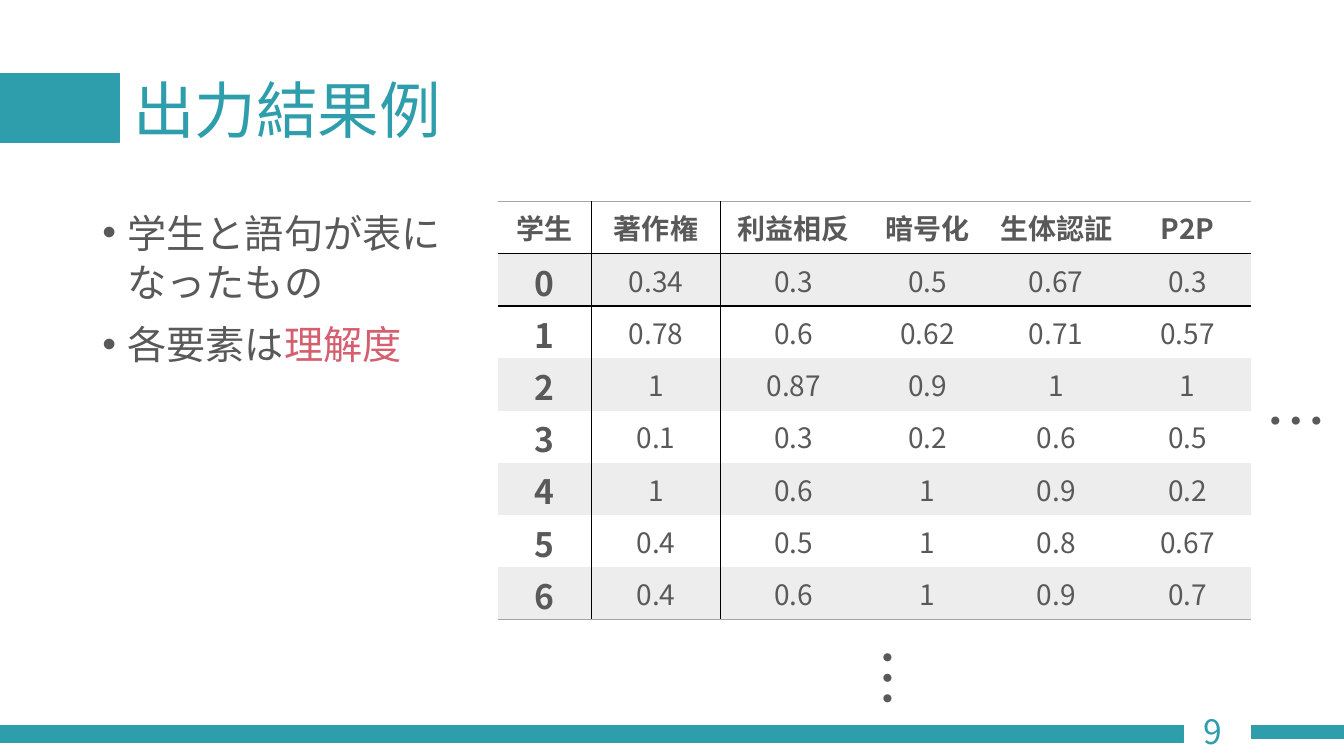
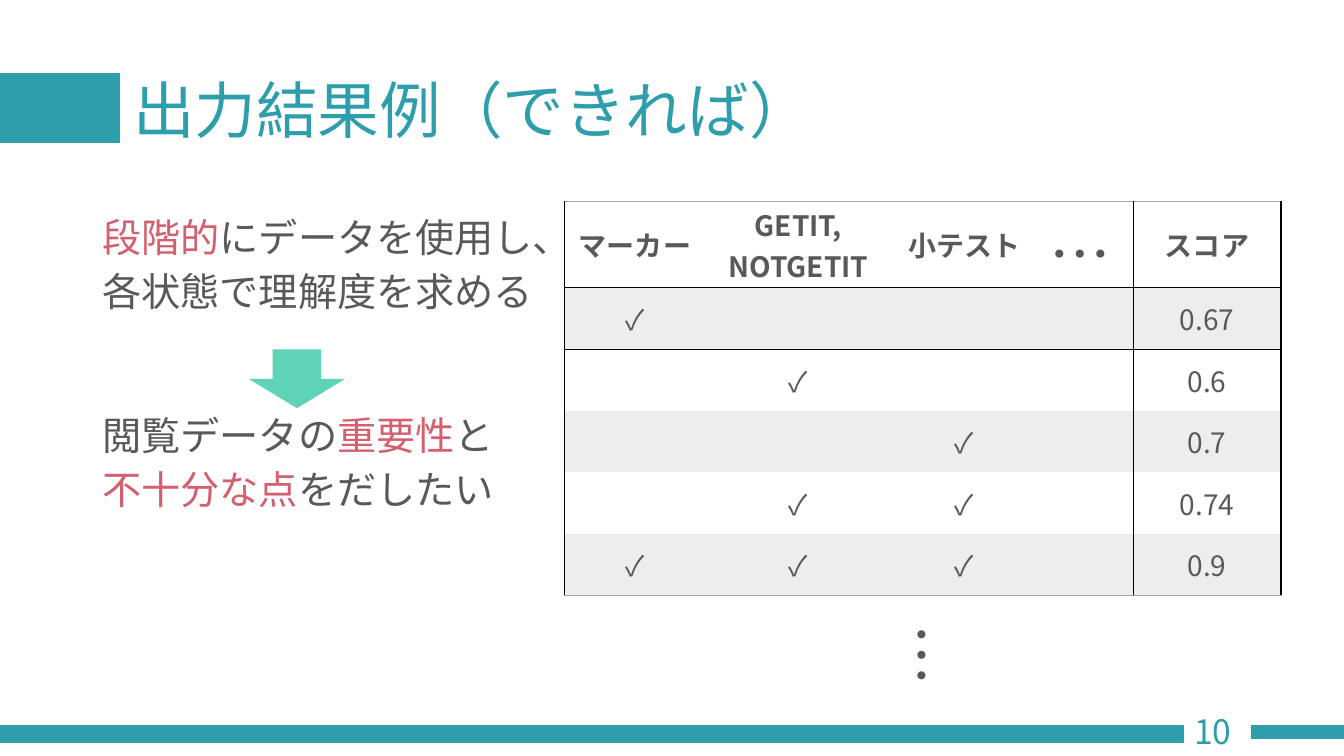
import pptx
import pptx.util
import pptx.dml.color
import pptx.enum.shapes
import pptx.enum.text
import pptx.oxml
import pptx.oxml.ns

Pt = pptx.util.Pt
qn = pptx.oxml.ns.qn
KIND = pptx.enum.shapes.MSO_SHAPE
ALIGN = pptx.enum.text.PP_ALIGN
ANCHOR = pptx.enum.text.MSO_ANCHOR

COLS, ROWS = 160, 90
FONT = "Noto Sans CJK JP"
TEAL, MINT, ROSE = "2E9EAC", "5FD3B8", "D45F6F"
INK, GREY, PALE, BLACK = "595959", "A5A5A5", "EDEDED", "000000"


def paint(target, code):
    """Give a fill or line a solid colour."""
    target.fill.solid()
    target.fill.fore_color.rgb = pptx.dml.color.RGBColor.from_string(code)


def child(parent, tag, **attrs):
    node = parent.makeelement(qn(tag), attrs)
    parent.append(node)
    return node


class Deck:
    """Holds the shared style and the slide being built."""

    def __init__(self):
        self.show = pptx.Presentation()
        self.show.slide_width = pptx.util.Inches(13.33)
        self.show.slide_height = pptx.util.Inches(7.5)
        self.slide = None

    def across(self, cols):
        return round(self.show.slide_width * cols / COLS)

    def down(self, rows):
        return round(self.show.slide_height * rows / ROWS)

    def place(self, x, y, wide, high):
        return self.across(x), self.down(y), self.across(wide), self.down(high)

    def style(self, para, size, code=INK, bold=False, align=ALIGN.LEFT):
        para.alignment = align
        font = para.font
        font.size, font.bold, font.name = Pt(size), bold, FONT
        paint(font, code)
        child(para._p.pPr.find(qn("a:defRPr")), "a:ea", typeface=FONT)

    def page(self, title, number):
        """Start a slide with its title, bands and page number."""
        self.slide = self.show.slides.add_slide(self.show.slide_layouts[5])
        head = self.slide.shapes.title
        head.left, head.top, head.width, head.height = self.place(14.64, 4.8, 138, 17.4)
        frame = head.text_frame
        frame.text = title
        frame.auto_size = pptx.enum.text.MSO_AUTO_SIZE.NONE
        frame.vertical_anchor = ANCHOR.MIDDLE
        frame.paragraphs[0].line_spacing = 0.9
        self.style(frame.paragraphs[0], 44, TEAL)
        for area in ((-0.5, 8.76, 14.7, 8.16), (149, 86.4, 11, 1.56), (0, 86.4, 140.9, 2)):
            self.shape(KIND.RECTANGLE, area, TEAL, True)
        self.label(str(number), (140.9, 84, 7, 6), 24, TEAL, ALIGN.CENTER)

    def shape(self, kind, area, code, edge=False):
        form = self.slide.shapes.add_shape(kind, *self.place(*area))
        form.shadow.inherit = False
        paint(form, code)
        if edge:
            paint(form.line, code)
            form.line.width = Pt(1)
        else:
            form.line.fill.background()

    def box(self, area):
        form = self.slide.shapes.add_textbox(*self.place(*area))
        form.text_frame.word_wrap = True
        return form

    def label(self, text, area, size, code=INK, align=ALIGN.LEFT):
        form = self.box(area)
        form.text_frame.text = text
        self.style(form.text_frame.paragraphs[0], size, code, align=align)
        return form

    def dots(self, x, y, turn=0):
        self.label("…", (x, y, 10.44, 10), 44).rotation = turn

    def body(self, area, paras, lead, gap, bullet=False):
        """Write paragraphs of (text, accented) runs; None breaks the line."""
        frame = self.box(area).text_frame
        for i, runs in enumerate(paras):
            para = frame.add_paragraph() if i else frame.paragraphs[0]
            para.line_spacing = lead
            if i:
                para.space_before = Pt(gap)
            if bullet:
                props = para._p.get_or_add_pPr()
                props.set("marL", str(Pt(18)))
                props.set("indent", str(-Pt(18)))
                child(props, "a:buFont", typeface="Arial")
                child(props, "a:buChar", char="•")
            self.style(para, 28)
            for part in runs:
                if part is None:
                    para.add_line_break()
                    continue
                run = para.add_run()
                run.text, accent = part
                if accent:
                    paint(run.font, ROSE)

    def border(self, cell, row, col, last, bars):
        """Rule the cell's four sides from the table's lines."""
        props = cell._tc.get_or_add_tcPr()
        rules = {0: GREY, 1: BLACK, 2: BLACK, last: GREY}
        sides = {
            "L": BLACK if col in bars else None,
            "R": BLACK if col + 1 in bars else None,
            "T": rules.get(row),
            "B": rules.get(row + 1),
        }
        for side, code in sides.items():
            line = child(props, "a:ln" + side, w=str(Pt(1)))
            if code:
                child(child(line, "a:solidFill"), "a:srgbClr", val=code)
            else:
                child(line, "a:noFill")

    def table(self, x, y, wides, highs, data, bars, key=False):
        """Draw a grid; bars are ruled column edges, key a bold first column."""
        area = self.place(x, y, sum(wides), sum(highs))
        grid = self.slide.shapes.add_table(len(highs), len(wides), *area).table
        grid.first_row = grid.horz_banding = False
        for col, wide in zip(grid.columns, wides):
            col.width = self.across(wide)
        for row, high in zip(grid.rows, highs):
            row.height = self.down(high)
        for r, texts in enumerate(data):
            for c, text in enumerate(texts):
                cell = grid.cell(r, c)
                main = key and c == 0 and r > 0
                cell.text = text
                cell.vertical_anchor = ANCHOR.MIDDLE
                cell.margin_top = pptx.util.Inches(0.03 if main else 0)
                cell.margin_bottom = 0
                for para in cell.text_frame.paragraphs:
                    self.style(para, 24 if main else 20, bold=main or r == 0,
                               align=ALIGN.CENTER)
                self.border(cell, r, c, len(data), bars)
                if r % 2:
                    paint(cell, PALE)
                else:
                    cell.fill.background()


def result(deck):
    deck.page("出力結果例", 9)
    deck.body((11, 24, 45.4, 57), [
        [("学生と語句が表になったもの", False)],
        [("各要素は", False), ("理解度", True)],
    ], 1.05, 9, bullet=True)
    data = [
        ["学生", "著作権", "利益相反", "暗号化", "生体認証", "P2P"],
        ["0", "0.34", "0.3", "0.5", "0.67", "0.3"],
        ["1", "0.78", "0.6", "0.62", "0.71", "0.57"],
        ["2", "1", "0.87", "0.9", "1", "1"],
        ["3", "0.1", "0.3", "0.2", "0.6", "0.5"],
        ["4", "1", "0.6", "1", "0.9", "0.2"],
        ["5", "0.4", "0.5", "1", "0.8", "0.67"],
        ["6", "0.4", "0.6", "1", "0.9", "0.7"],
    ]
    deck.table(59.3, 24, [11.1, 15.4, 17.4, 14.5, 16.1, 15.2], [6.22] * 8,
               data, {1, 2}, key=True)
    deck.dots(149.5, 45)
    deck.dots(100.6, 76.1, 90)


def goal(deck):
    deck.page("出力結果例（できれば）", 10)
    deck.body((11, 24, 58.8, 57), [
        [("段階的", True), ("にデータを使用し、各状態で理解度を求める", False)],
        [("閲覧データの", False), ("重要性", True), ("と", False), None,
         ("不十分な点", True), ("をだしたい", False)],
    ], 1.15, 64)
    marks = [("100", "0.67"), ("010", "0.6"), ("001", "0.7"),
             ("011", "0.74"), ("111", "0.9")]
    data = [["マーカー", "GETIT,\nNOTGETIT", "小テスト", "", "スコア"]]
    for used, score in marks:
        data.append(["✓" if flag == "1" else "" for flag in used] + ["", score])
    deck.table(67.2, 24, [16.8, 22.1, 17.4, 11.4, 17.6], [10.25] + [7.33] * 5,
               data, {0, 4, 5})
    deck.dots(123.8, 25.1)
    deck.dots(104.7, 73.4, 90)
    deck.shape(KIND.DOWN_ARROW, (29.6, 41.6, 11.5, 7), MINT)


def main():
    deck = Deck()
    result(deck)
    goal(deck)
    deck.show.save("out.pptx")


if __name__ == "__main__":
    main()
